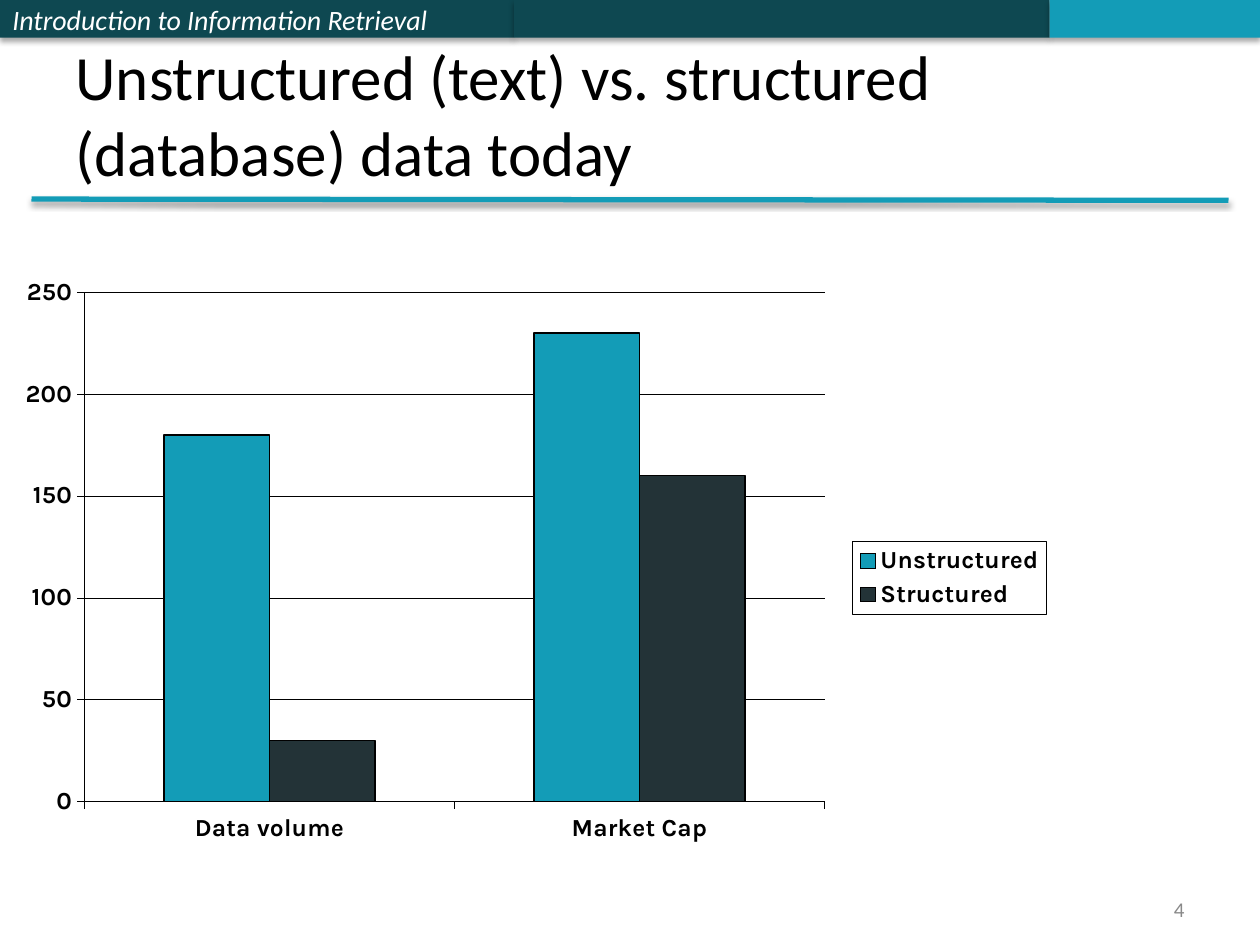
import pptx
import pptx.chart.data
import pptx.dml.color
import pptx.enum.chart
import pptx.enum.shapes
import pptx.enum.text
import pptx.oxml
import pptx.oxml.ns
import pptx.util

Inches = pptx.util.Inches
Pt = pptx.util.Pt
NAMESPACES = pptx.oxml.ns.nsdecls("a", "c")
COLORS = {"dark": "0E4851", "accent": "139CB7", "slate": "233337",
          "black": "000000", "white": "FFFFFF", "grey": "898989"}


def rgb(name):
    return pptx.dml.color.RGBColor.from_string(COLORS[name])


class SlideBuilder:
    def __init__(self, page, text_font, chart_font):
        self.page = page
        self.text_font = text_font
        self.chart_font = chart_font

    def format_font(self, font, color, **values):
        for name, value in values.items():
            setattr(font, name, value)
        font.color.rgb = rgb(color)

    def line(self, line, color, width):
        line.color.rgb = rgb(color)
        line.width = Pt(width)

    def shadow(self, shape, opacity):
        shape._element.spPr.append(pptx.oxml.parse_xml(
            f'<a:effectLst {NAMESPACES}><a:outerShdw blurRad="39370" dist="22000" '
            f'dir="5400000" rotWithShape="0"><a:srgbClr val="{COLORS["black"]}">'
            f'<a:alpha val="{opacity * 1000}"/></a:srgbClr></a:outerShdw></a:effectLst>'))

    def text(self, box, words, color, size, anchor, align="LEFT", italic=False):
        frame = box.text_frame
        settings = {"word_wrap": True, "auto_size": pptx.enum.text.MSO_AUTO_SIZE.NONE,
                    "vertical_anchor": pptx.enum.text.MSO_ANCHOR[anchor]}
        for name, value in settings.items():
            setattr(frame, name, value)
        para = frame.paragraphs[0]
        para.alignment = pptx.enum.text.PP_ALIGN[align]
        span = para.add_run()
        span.text = words
        self.format_font(span.font, color, name=self.text_font, size=Pt(size), italic=italic)

    def bar(self, left, width, color):
        bar = self.page.shapes.add_shape(pptx.enum.shapes.MSO_SHAPE.RECTANGLE,
                                         Inches(left), 0, Inches(width), Inches(0.3))
        bar.fill.solid()
        bar.fill.fore_color.rgb = rgb(color)
        bar.line.fill.background()
        self.shadow(bar, 35)
        return bar

    def rule(self, start, end, color, width):
        rule = self.page.shapes.add_connector(
            pptx.enum.shapes.MSO_CONNECTOR.STRAIGHT, *map(Inches, start + end))
        self.line(rule.line, color, width)
        self.shadow(rule, 38)

    def title(self, words, place):
        title = self.page.shapes.title
        for name, value in zip(("left", "top", "width", "height"), place):
            setattr(title, name, Inches(value))
        self.text(title, words, "black", 36, "BOTTOM")

    def text_box(self, words, place, **style):
        self.text(self.page.shapes.add_textbox(*map(Inches, place)), words, **style)

    def column_chart(self, place, categories, series, plot_area):
        data = pptx.chart.data.CategoryChartData()
        data.categories = categories
        for name, (values, color) in series.items():
            data.add_series(name, values)
        chart = self.page.shapes.add_chart(
            pptx.enum.chart.XL_CHART_TYPE.COLUMN_CLUSTERED, *map(Inches, place), data).chart
        chart.has_title = False
        chart.has_legend = True
        chart.legend.position = pptx.enum.chart.XL_LEGEND_POSITION.RIGHT
        chart.legend.include_in_layout = False

        # Columns
        plot = chart.plots[0]
        plot.vary_by_categories = False
        plot.gap_width = 150
        plot.overlap = 0
        for item in plot.series:
            item.format.fill.solid()
            item.format.fill.fore_color.rgb = rgb(series[item.name][1])
            self.line(item.format.line, "black", 0.92)

        # Axes and fonts
        scale = chart.value_axis
        for name, value in {"minimum_scale": 0, "maximum_scale": 250, "major_unit": 50,
                            "has_major_gridlines": True}.items():
            setattr(scale, name, value)
        self.line(scale.major_gridlines.format.line, "black", 0.23)
        for axis in (chart.category_axis, scale):
            axis.major_tick_mark = pptx.enum.chart.XL_TICK_MARK.OUTSIDE
            axis.tick_label_position = pptx.enum.chart.XL_TICK_LABEL_POSITION.LOW
            self.line(axis.format.line, "black", 0.23)
        for font in (chart.font, chart.legend.font, scale.tick_labels.font,
                     chart.category_axis.tick_labels.font):
            self.format_font(font, "black", name=self.chart_font, size=Pt(14), bold=True)

        # Legend border and inner plot position
        legend = chart.legend._element
        legend.find(pptx.oxml.ns.qn("c:txPr")).addprevious(pptx.oxml.parse_xml(
            f'<c:spPr {NAMESPACES}><a:noFill/><a:ln w="2921"><a:solidFill>'
            f'<a:srgbClr val="{COLORS["black"]}"/></a:solidFill></a:ln></c:spPr>'))
        area = chart._chartSpace.chart.plotArea
        for layout in area.findall(pptx.oxml.ns.qn("c:layout")):
            area.remove(layout)
        sizes = "".join(f'<c:{tag} val="{value}"/>' for tag, value in zip("xywh", plot_area))
        area.insert(0, pptx.oxml.parse_xml(
            f'<c:layout {NAMESPACES}><c:manualLayout><c:layoutTarget val="inner"/>'
            f'<c:xMode val="edge"/><c:yMode val="edge"/>{sizes}'
            f'</c:manualLayout></c:layout>'))


deck = pptx.Presentation()
deck.slide_width, deck.slide_height = Inches(10), Inches(7.5)
builder = SlideBuilder(deck.slides.add_slide(deck.slide_layouts[5]), "Calibri", "Karla")

# Header band
header = builder.bar(0, 4.08, "dark")
builder.text(header, "Introduction to Information Retrieval", "white", 16, "MIDDLE", italic=True)
builder.bar(4.08, 4.25, "dark")
builder.bar(8.33, 1.67, "accent")

# Title and rule
builder.rule((0.25, 1.58), (9.75, 1.59), "accent", 3)
builder.title("Unstructured (text) vs. structured (database) data today", (0.5, 0.3, 9, 1.25))

# Chart
builder.column_chart(
    (0, 2.15, 8.39, 4.87), ["Data volume", "Market Cap"],
    {"Unstructured": ((180, 230), "accent"), "Structured": ((30, 160), "slate")},
    (0.08, 0.035, 0.7, 0.83))

# Slide number
builder.text_box("4", (7.17, 7.08, 2.33, 0.27), color="grey", size=12,
                 anchor="MIDDLE", align="RIGHT")

deck.save("out.pptx")
